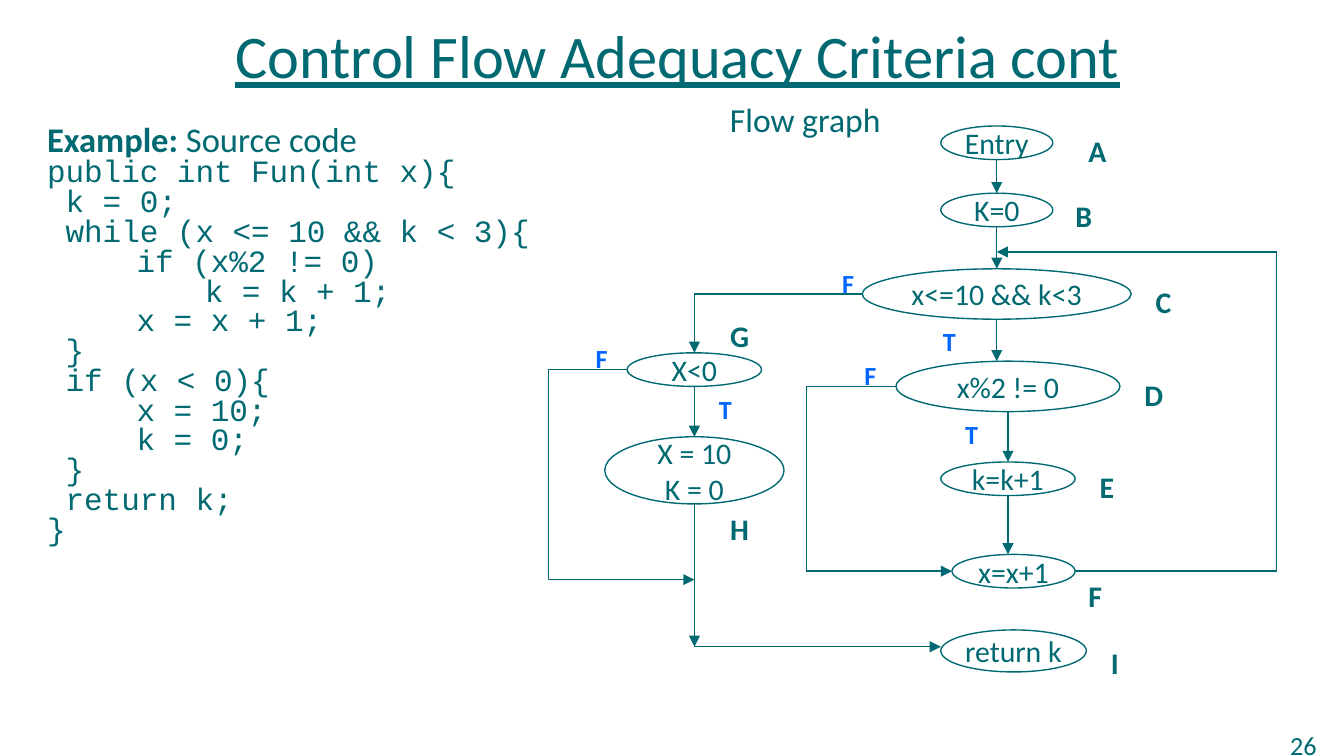
from lxml.etree import SubElement
from pptx import Presentation
from pptx.dml.color import RGBColor
from pptx.enum.shapes import MSO_CONNECTOR as CONNECTOR, MSO_SHAPE as SHAPE
from pptx.enum.text import MSO_ANCHOR as ANCHOR, MSO_AUTO_SIZE as AUTO_SIZE, PP_ALIGN as ALIGN
from pptx.oxml.ns import qn
from pptx.util import Pt

COLORS = {"teal": "006971", "blue": "0066FF"}

deck = Presentation()
deck.slide_width, deck.slide_height = Pt(720), Pt(405)
page = deck.slides.add_slide(deck.slide_layouts[1])
shapes = page.shapes


def add_span(para, text, size, color="teal", bold=False, font="Calibri"):
    span = para.add_run()
    span.text = text
    span.font.name = font
    span.font.size = Pt(size)
    span.font.bold = bold
    span.font.color.rgb = RGBColor.from_string(COLORS[color])
    return span


def style_line(shape, arrow):
    """Give a thin teal line without shadow, with an arrowhead if asked."""
    shape.line.color.rgb = RGBColor.from_string(COLORS["teal"])
    shape.line.width = Pt(0.75)
    if arrow:
        SubElement(shape.line._get_or_add_ln(), qn("a:tailEnd"), type="triangle")
    SubElement(shape._element.spPr, qn("a:effectLst"))


# Title
title = shapes.title
title.left, title.top, title.width, title.height = Pt(36), Pt(9), Pt(654), Pt(40.5)
title.text_frame.auto_size = AUTO_SIZE.NONE
title.text_frame.vertical_anchor = ANCHOR.MIDDLE
para = title.text_frame.paragraphs[0]
para.alignment = ALIGN.CENTER
add_span(para, "Control Flow Adequacy Criteria cont", 32.4).font.underline = True

# Source code: indent in points, text
code = [
    (0, "public int Fun(int x){"),
    (0, " k = 0;"),
    (0, " while (x <= 10 && k < 3){"),
    (48, "if (x%2 != 0)"),
    (84.5, "k = k + 1;"),
    (48, "x = x + 1;"),
    (0, " }"),
    (0, " if (x < 0){"),
    (48, "x = 10;"),
    (48, "k = 0;"),
    (0, " }"),
    (0, " return k;"),
    (0, "}"),
]
body = page.placeholders[1]
body.left, body.top, body.width, body.height = Pt(18), Pt(67.5), Pt(306), Pt(238.5)
frame = body.text_frame
frame.auto_size = AUTO_SIZE.NONE
heading = frame.paragraphs[0]
add_span(heading, "Example:", 18.5, bold=True)
add_span(heading, " Source code", 18.5)
for indent, text in code:
    para = frame.add_paragraph()
    add_span(para, text, 16.6, font="Courier New")
    para._p.get_or_add_pPr().set("marL", str(Pt(indent)))
for para in frame.paragraphs:
    para.line_spacing = 0.6
    para.space_before = Pt(4)
    properties = para._p.get_or_add_pPr()
    properties.set("indent", "0")
    if para is heading or properties.get("marL") is None:
        properties.set("marL", "0")
    SubElement(properties, qn("a:buNone"))

# Flow graph nodes: left, top, width, height, lines of text
nodes = [
    (504, 67.5, 60, 18, ["Entry"]),
    (504, 103.5, 60, 18, ["K=0"]),
    (462, 144, 144, 27, ["x<=10 && k<3"]),
    (480, 193.5, 120, 27, ["x%2 != 0"]),
    (504, 247.5, 72, 18, ["k=k+1"]),
    (510, 297, 66, 18, ["x=x+1"]),
    (504, 337.5, 78, 22.5, ["return k"]),
    (336, 189, 72, 18, ["X<0"]),
    (324, 234, 96, 36, ["X = 10", "K = 0"]),
]
for left, top, width, height, lines in nodes:
    node = shapes.add_shape(SHAPE.OVAL, Pt(left), Pt(top), Pt(width), Pt(height))
    node.fill.background()
    style_line(node, False)
    frame = node.text_frame
    frame.word_wrap = False
    frame.vertical_anchor = ANCHOR.MIDDLE
    for number, text in enumerate(lines):
        para = frame.add_paragraph() if number else frame.paragraphs[0]
        para.alignment = ALIGN.CENTER
        add_span(para, text, 16)

# Routes between nodes: corner points, is every segment an arrow
main_x, loop_x, exit_x, skip_x = 534, 540, 372, 432
routes = [
    ([(main_x, 85.5), (main_x, 103.5)], True),
    ([(main_x, 121.5), (main_x, 144)], True),
    ([(main_x, 171), (main_x, 193.5)], True),
    ([(loop_x, 220.5), (loop_x, 247.5)], True),
    ([(loop_x, 265.5), (loop_x, 297)], True),
    ([(480, 207), (skip_x, 207), (skip_x, 306), (510, 306)], False),
    ([(576, 306), (684, 306), (684, 135), (main_x, 135)], False),
    ([(462, 157.5), (exit_x, 157.5), (exit_x, 189)], False),
    ([(exit_x, 207), (exit_x, 234)], True),
    ([(exit_x, 270), (exit_x, 346.5), (504, 346.5)], True),
]
for corners, all_arrows in routes:
    for start, end in zip(corners, corners[1:]):
        link = shapes.add_connector(CONNECTOR.STRAIGHT, *map(Pt, start + end))
        style_line(link, all_arrows or end == corners[-1])

bypass = shapes.build_freeform(Pt(336), Pt(198))
bypass.add_line_segments(
    [(Pt(x), Pt(y)) for x, y in [(294, 198), (294, 310.5), (exit_x, 310.5)]], close=False
)
outline = bypass.convert_to_shape()
outline.fill.background()
style_line(outline, True)

# Labels: text, left, top, width, height, size, colour, bold
labels = [
    ("Flow graph", 384, 49.5, 96.5, 29, 18, "teal", False),
    ("26", 684, 387, 48, 27, 14, "teal", False),
]
node_labels = [
    ("A", 576, 67.5), ("B", 569, 102.5), ("C", 612, 148.5), ("D", 606, 198), ("E", 582, 247.5),
    ("F", 576, 306), ("G", 384, 166.5), ("H", 384, 270), ("I", 588, 342),
]
branch_labels = [
    ("T", 498, 171), ("F", 444, 139.5), ("T", 510, 220.5),
    ("T", 378, 207), ("F", 456, 189), ("F", 312, 180),
]
labels += [(*label, 24, 26.5, 16, "teal", True) for label in node_labels]
labels += [(*label, 24, 24.5, 14, "blue", True) for label in branch_labels]
for text, left, top, width, height, size, color, bold in labels:
    box = shapes.add_textbox(Pt(left), Pt(top), Pt(width), Pt(height))
    box.text_frame.word_wrap = True
    add_span(box.text_frame.paragraphs[0], text, size, color, bold)

deck.save("out.pptx")
